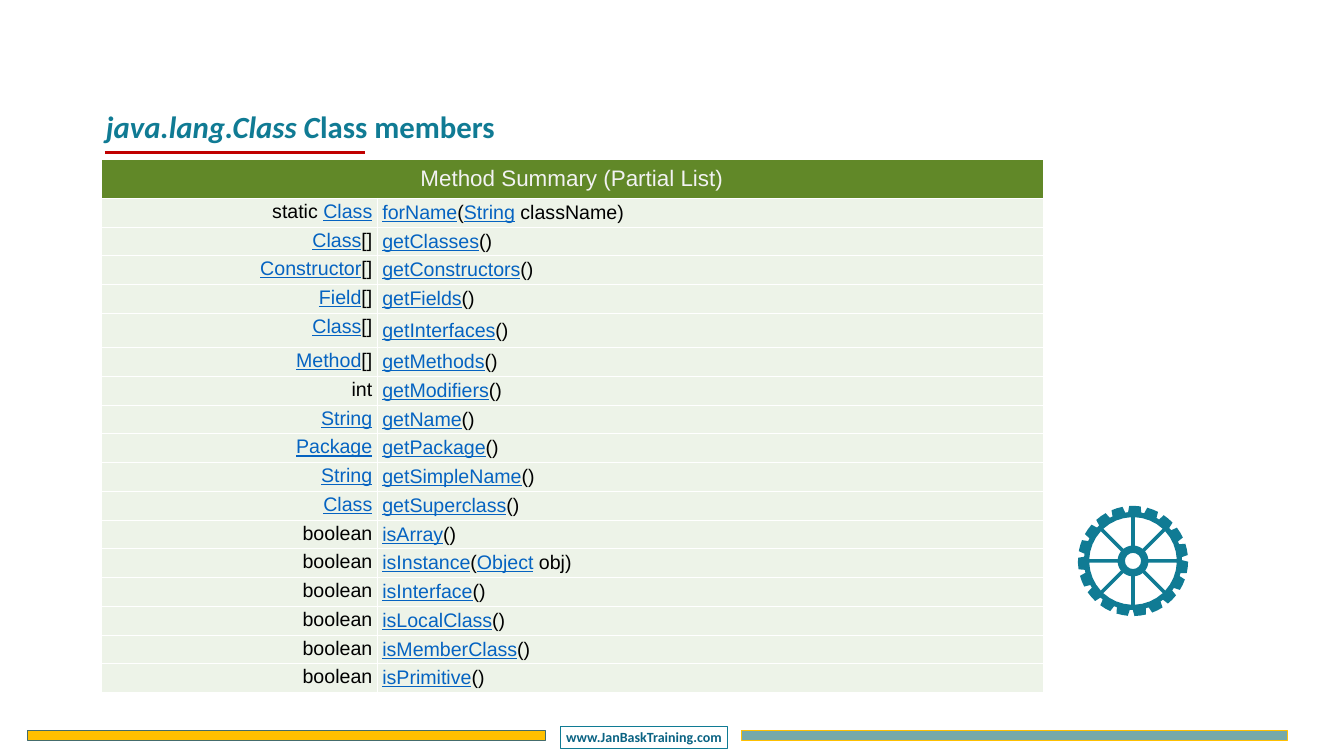
from math import asin, cos, pi, radians, sin
from typing import NamedTuple

from lxml.etree import SubElement
from pptx import Presentation
from pptx.dml.color import RGBColor
from pptx.enum.shapes import MSO_CONNECTOR, MSO_SHAPE
from pptx.enum.text import MSO_ANCHOR, PP_ALIGN
from pptx.oxml.ns import qn
from pptx.util import Pt

TEAL, BLACK, LINK = "107B94", "000000", "0563C1"
HEADER_FILL, ROW_FILL = "618828", "EDF3E8"


class Bar(NamedTuple):
    left: float
    width: float
    fill: str
    line: str


class Method(NamedTuple):
    returns: str  # linked words stand between asterisks
    signature: str


class Gear(NamedTuple):
    x: float
    y: float
    tip: float
    root: float
    rim: float
    hub: float
    bore: float
    half_spoke: float
    teeth: int
    spokes: int


BARS = [Bar(39, 740, "FFC000", "446C6C"), Bar(1059, 780, "76A9A9", "FFC000")]
METHODS = [
    Method("static *Class*", "*forName*(*String* className)"),
    Method("*Class*[]", "*getClasses*()"),
    Method("*Constructor*[]", "*getConstructors*()"),
    Method("*Field*[]", "*getFields*()"),
    Method("*Class*[]", "*getInterfaces*()"),
    Method("*Method*[]", "*getMethods*()"),
    Method("int", "*getModifiers*()"),
    Method("*String*", "*getName*()"),
    Method("*Package*", "*getPackage*()"),
    Method("*String*", "*getSimpleName*()"),
    Method("*Class*", "*getSuperclass*()"),
    Method("boolean", "*isArray*()"),
    Method("boolean", "*isInstance*(*Object* obj)"),
    Method("boolean", "*isInterface*()"),
    Method("boolean", "*isLocalClass*()"),
    Method("boolean", "*isMemberClass*()"),
    Method("boolean", "*isPrimitive*()"),
]
GEAR = Gear(1618.6, 801.4, 78.7, 70, 62.6, 22, 11.5, 2.5, 19, 8)


def color(value: str) -> RGBColor:
    return RGBColor.from_string(value)


def paint(target, value: str) -> None:
    target.fill.solid()
    target.fill.fore_color.rgb = color(value)


def add_box(slide, left: float, top: float, width: float, height: float,
            line: str, line_width: float):
    shape = slide.shapes.add_shape(
        MSO_SHAPE.RECTANGLE, Pt(left), Pt(top), Pt(width), Pt(height))
    shape.shadow.inherit = False
    shape.fill.background()
    shape.line.color.rgb = color(line)
    shape.line.width = Pt(line_width)
    return shape


def add_footer(slide) -> None:
    for bar in BARS:
        paint(add_box(slide, bar.left, 1044, bar.width, 13, bar.line, 1), bar.fill)
    address = add_box(slide, 801, 1037, 238, 32, TEAL, 0.75)
    address.text_frame.word_wrap = False
    paragraph = address.text_frame.paragraphs[0]
    paragraph.alignment = PP_ALIGN.CENTER
    run = paragraph.add_run()
    run.text = "www.JanBaskTraining.com"
    paragraph.font.name, paragraph.font.size = "Calibri", Pt(20)
    paragraph.font.bold = True
    run.font.color.rgb = color("0A6383")


def add_title(slide) -> None:
    title = slide.shapes.title
    title.left, title.top, title.width, title.height = Pt(144), Pt(150), Pt(1346), Pt(142)
    title.text_frame.word_wrap = True
    title.text_frame.vertical_anchor = MSO_ANCHOR.TOP
    paragraph = title.text_frame.paragraphs[0]
    paragraph.alignment = PP_ALIGN.LEFT
    paragraph.space_after = Pt(12)
    for text, italic in (("java.lang.Class C", True), ("lass members", False)):
        run = paragraph.add_run()
        run.text, run.font.italic = text, italic
    paragraph.font.name, paragraph.font.size = "Calibri", Pt(44)
    paragraph.font.bold = True
    paragraph.font.color.rgb = color(TEAL)

    underline = slide.shapes.add_connector(
        MSO_CONNECTOR.STRAIGHT, Pt(150), Pt(217.5), Pt(522), Pt(217.5))
    underline.line.color.rgb = color("C00000")
    underline.line.width = Pt(4.5)
    SubElement(underline._element.spPr, qn("a:effectLst"))


def fill_cell(cell, text: str, size: float, text_color: str, fill: str,
              alignment: PP_ALIGN, anchor: MSO_ANCHOR) -> None:
    properties = cell._tc.get_or_add_tcPr()
    for side in ("a:lnL", "a:lnR", "a:lnT", "a:lnB"):
        border = SubElement(properties, qn(side), w=str(Pt(1)))
        border_fill = SubElement(border, qn("a:solidFill"))
        SubElement(border_fill, qn("a:srgbClr"), val="FFFFFF")
    paint(cell, fill)
    cell.vertical_anchor = anchor
    paragraph = cell.text_frame.paragraphs[0]
    paragraph.alignment = alignment
    for index, part in enumerate(text.split("*")):
        if part:
            linked = index % 2 == 1
            run = paragraph.add_run()
            run.text = part
            run.font.underline = linked
            run.font.color.rgb = color(LINK if linked else text_color)
    paragraph.font.name, paragraph.font.size = "Arial", Pt(size)


def add_method_table(slide) -> None:
    table = slide.shapes.add_table(
        len(METHODS) + 1, 2, Pt(144), Pt(228), Pt(1346), Pt(762)).table
    table.first_row = table.horz_banding = False
    table.columns[0].width, table.columns[1].width = Pt(395), Pt(951)
    table.cell(0, 0).merge(table.cell(0, 1))
    table.rows[0].height = Pt(55)
    fill_cell(table.cell(0, 0), "Method Summary (Partial List)", 32, "F2F2F2",
              HEADER_FILL, PP_ALIGN.CENTER, MSO_ANCHOR.MIDDLE)
    for row, method in enumerate(METHODS, start=1):
        table.rows[row].height = Pt(49 if "getInterfaces" in method.signature else 41.1)
        fill_cell(table.cell(row, 0), method.returns, 28, BLACK, ROW_FILL,
                  PP_ALIGN.RIGHT, MSO_ANCHOR.TOP)
        fill_cell(table.cell(row, 1), method.signature, 28, BLACK, ROW_FILL,
                  PP_ALIGN.LEFT, MSO_ANCHOR.MIDDLE)


def gear_contours(gear: Gear) -> list[list[tuple[int, int]]]:
    def point(radius: float, angle: float) -> tuple[int, int]:
        return Pt(gear.x + radius * sin(angle)), Pt(gear.y - radius * cos(angle))

    # Toothed edge: wide at the root, narrower at the tip
    edge = []
    for tooth in range(gear.teeth):
        middle = radians(2) + 2 * pi * tooth / gear.teeth
        for radius, degrees in ((gear.root, -7.7), (gear.tip, -6), (gear.tip, 0),
                                (gear.tip, 6), (gear.root, 7.7)):
            edge.append(point(radius, middle + radians(degrees)))
    contours = [edge, [point(gear.bore, pi * step / 8) for step in range(16)]]

    # Openings between the spokes
    sector = 2 * pi / gear.spokes
    for spoke in range(gear.spokes):
        opening = []
        for radius, steps in ((gear.rim, range(5)), (gear.hub, range(4, -1, -1))):
            trim = asin(gear.half_spoke / radius)
            opening += [point(radius, spoke * sector + trim + (sector - 2 * trim) * step / 4)
                        for step in steps]
        contours.append(opening)
    return contours


def add_gear(slide, gear: Gear) -> None:
    edge, *holes = gear_contours(gear)
    builder = slide.shapes.build_freeform(*edge[0])
    builder.add_line_segments(edge[1:], close=True)
    for hole in holes:
        builder.move_to(*hole[0])
        builder.add_line_segments(hole[1:], close=True)
    shape = builder.convert_to_shape()
    shape.shadow.inherit = False
    paint(shape, TEAL)
    shape.line.fill.background()


def main() -> None:
    presentation = Presentation()
    presentation.slide_width, presentation.slide_height = Pt(1920), Pt(1080)
    slide = presentation.slides.add_slide(presentation.slide_layouts[5])
    add_footer(slide)
    add_title(slide)
    add_method_table(slide)
    add_gear(slide, GEAR)
    presentation.save("out.pptx")


if __name__ == "__main__":
    main()
